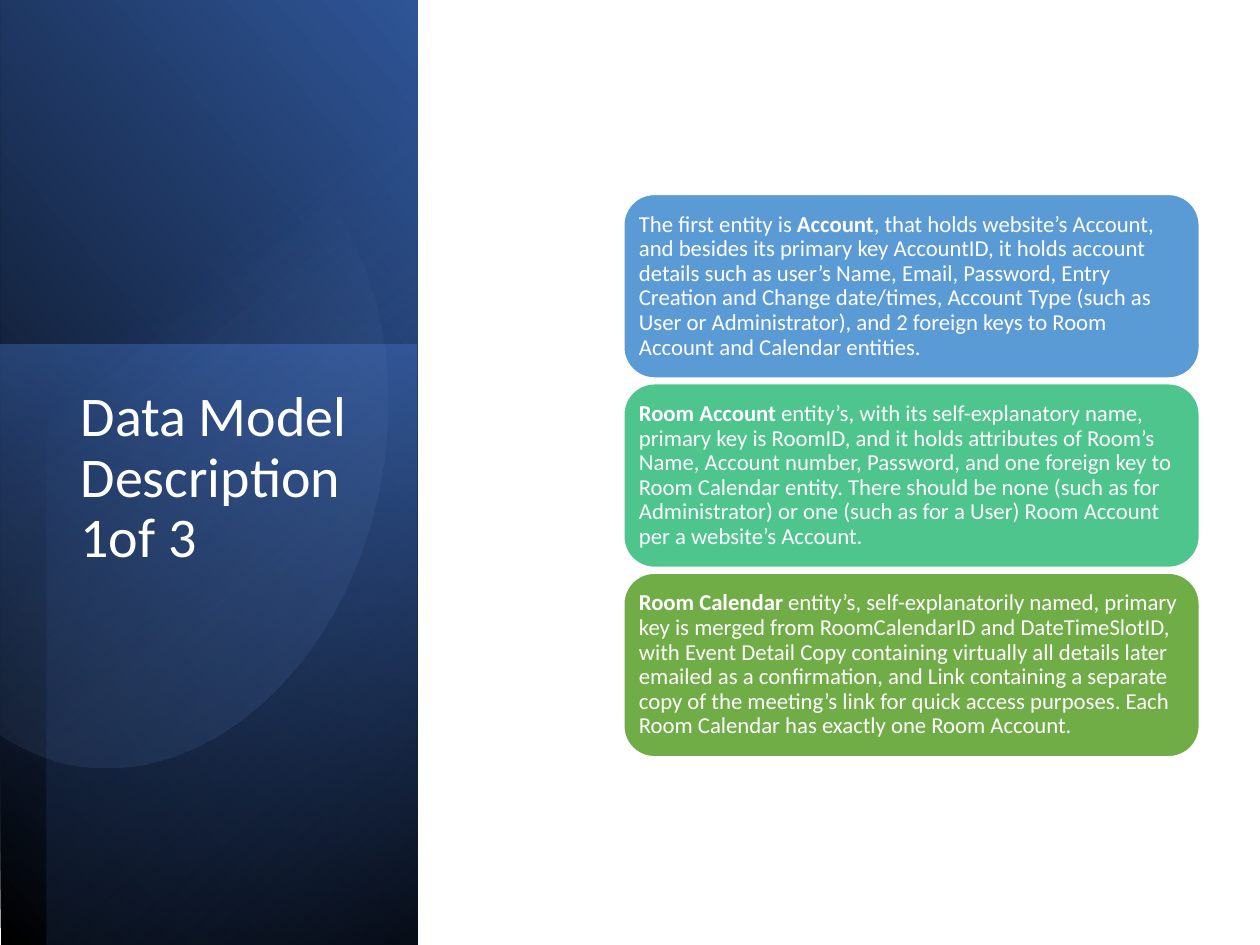
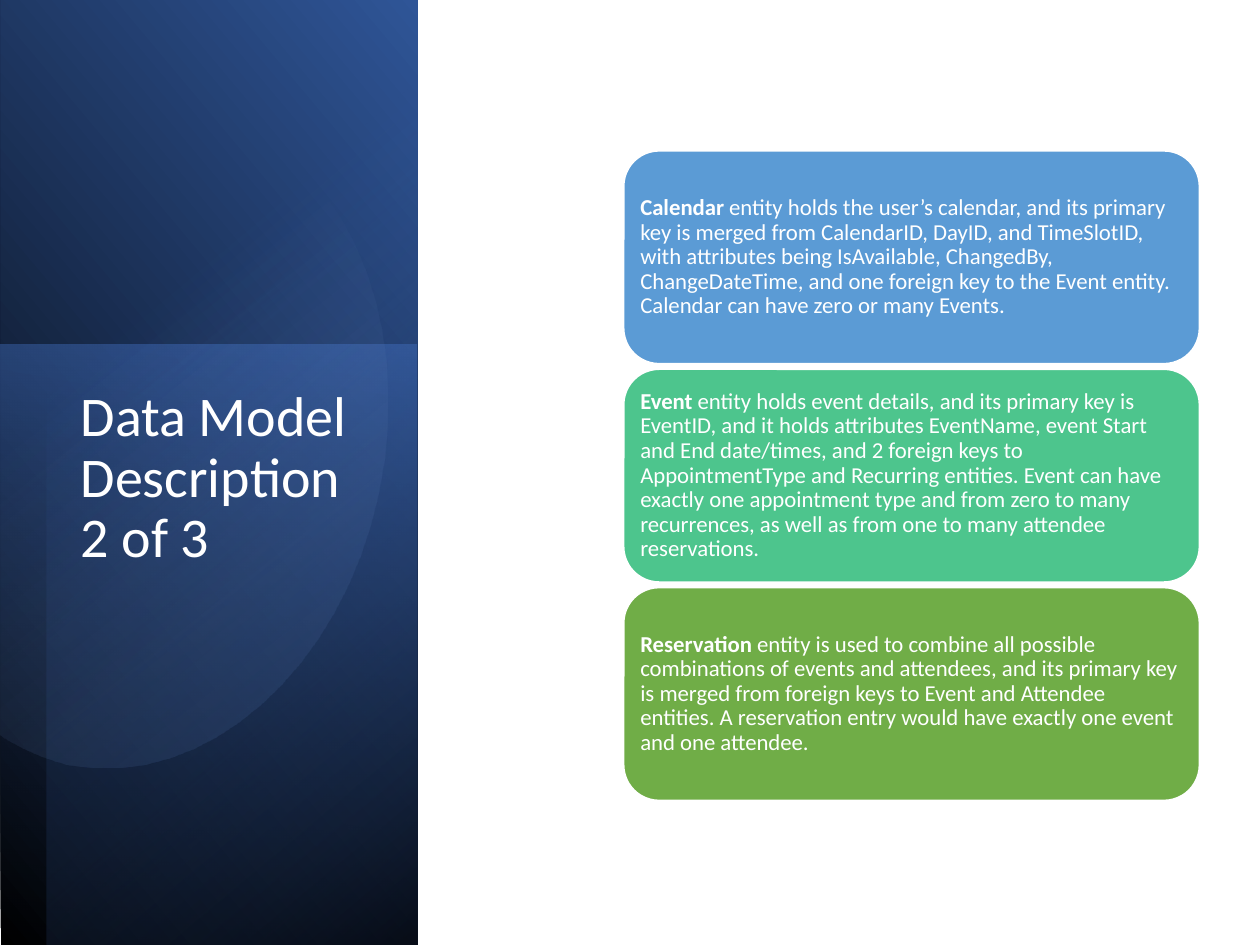
from dataclasses import dataclass
from math import cos, radians, sin

from lxml import etree
from pptx import Presentation, util as u
from pptx.dml.color import RGBColor
from pptx.enum import shapes, text
from pptx.oxml import ns

COLUMNS, ROWS = 100, 75
TITLE_BOX = (5.4, 30.3, 23.6, 33.6)
CARD_LEFT, CARD_WIDTH, CARD_GAP, CARDS_MIDDLE = 49.5, 45.7, 0.43, 37.75

PANEL_LAYERS = [
    dict(box=(-21, 21, 75.2, 33.1), rotation=90, flip=True, angle=310,
         stops=[(0, "000000", 100), (100, "2F5597", 100)]),
    dict(box=(-7.3, 34.6, 47.6, 33.1), rotation=270, flip=False, angle=190,
         stops=[(0, "4472C4", 50), (100, "203864", 0)]),
    dict(box=(-19.1, 22.8, 75, 29.4), rotation=270, flip=True, angle=220,
         stops=[(0, "000000", 59), (69, "4472C4", 0)]),
]

OVAL_START = (12, 8.9)
OVAL_CURVES = [
    [(13.3, 8.8), (14.7, 8.9), (16, 9.1)],
    [(26.7, 11.3), (32.9, 24.7), (30, 38.9)],
    [(27.1, 53.1), (16.1, 62.8), (5.4, 60.7)],
    [(3.4, 60.2), (1.6, 59.4), (-0.1, 58.3)],
]
OVAL_CORNERS = [(-1.2, 57.4), (0.9, 13.8), (2.5, 12.5)]
OVAL_CLOSING = [(5.4, 10.4), (8.7, 9.1), OVAL_START]
OVAL_CENTRE, OVAL_ROTATION = (13.6, 35.45), 101.6
OVAL_STOPS = [(39, "8FAADC", 0), (100, "2F5597", 26)]

SLIDES = [
    ("Data Model Description 1of 3", 14.6, [
        "The first entity is **Account**, that holds website’s Account, and besides its primary key "
        "AccountID, it holds account details such as user’s Name, Email, Password, Entry Creation and "
        "Change date/times, Account Type (such as User or Administrator), and 2 foreign keys to Room "
        "Account and Calendar entities.",
        "**Room Account **entity’s, with its self-explanatory name, primary key is RoomID, and it holds "
        "attributes of Room’s Name, Account number, Password, and one foreign key to Room Calendar "
        "entity. There should be none (such as for Administrator) or one (such as for a User) Room "
        "Account per a website’s Account.",
        "**Room Calendar **entity’s, self-explanatorily named, primary key is merged from "
        "RoomCalendarID and DateTimeSlotID, with Event Detail Copy containing virtually all details "
        "later emailed as a confirmation, and Link containing a separate copy of the meeting’s link for "
        "quick access purposes. Each Room Calendar has exactly one Room Account.",
    ]),
    ("Data Model Description 2 of 3", 16.9, [
        "**Calendar** entity holds the user’s calendar, and its primary key is merged from CalendarID, "
        "DayID, and TimeSlotID, with attributes being IsAvailable, ChangedBy, ChangeDateTime, and one "
        "foreign key to the Event entity. Calendar can have zero or many Events.",
        "**Event** entity holds event details, and its primary key is EventID, and it holds attributes "
        "EventName, event Start and End date/times, and 2 foreign keys to AppointmentType and Recurring "
        "entities. Event can have exactly one appointment type and from zero to many recurrences, as "
        "well as from one to many attendee reservations.",
        "**Reservation** entity is used to combine all possible combinations of events and attendees, "
        "and its primary key is merged from foreign keys to Event and Attendee entities. A reservation "
        "entry would have exactly one event and one attendee.",
    ]),
]


@dataclass(frozen=True)
class Theme:
    """Colours, font and type sizes of the deck."""
    font: str = "Calibri"
    light: str = "FFFFFF"
    cards: tuple = ("5B9BD5", "4DC58D", "70AD47")
    title_size: int = 32
    card_size: int = 13


def write(frame, content, *, font, size, color, anchor, inset=None):
    """Write text into a frame, with **marked** words in bold."""
    frame.word_wrap = True
    frame.auto_size = text.MSO_AUTO_SIZE.NONE
    frame.vertical_anchor = anchor
    if inset is not None:
        frame.margin_left = frame.margin_right = u.Inches(inset)
        frame.margin_top = frame.margin_bottom = u.Inches(inset)
    paragraph = frame.paragraphs[0]
    paragraph.alignment = text.PP_ALIGN.LEFT
    paragraph.line_spacing = 0.9
    for index, part in enumerate(content.split("**")):
        if part:
            run = paragraph.add_run()
            run.text = part
            run.font.name = font
            run.font.size = u.Pt(size)
            run.font.bold = index % 2 == 1
            run.font.color.rgb = RGBColor.from_string(color)


def curve_points(start, first, second, end, steps=16):
    """Return points along a cubic curve, without its start."""
    points = []
    for step in range(1, steps + 1):
        t = step / steps
        weights = ((1 - t) ** 3, 3 * t * (1 - t) ** 2, 3 * t * t * (1 - t), t ** 3)
        points.append(tuple(sum(weight * point[axis] for weight, point in
                                zip(weights, (start, first, second, end))) for axis in (0, 1)))
    return points


def rotated(point, centre, degrees):
    """Turn a point clockwise around a centre."""
    x, y = point[0] - centre[0], point[1] - centre[1]
    turn = radians(degrees)
    return (centre[0] + x * cos(turn) - y * sin(turn),
            centre[1] + x * sin(turn) + y * cos(turn))


class Deck:
    """Holds the theme and the slide being drawn."""

    def __init__(self, presentation, theme):
        """Start with no slide."""
        self.presentation = presentation
        self.theme = theme
        self.slide = None

    def place(self, *lengths):
        """Turn alternating columns and rows into slide lengths."""
        units = (self.presentation.slide_width / COLUMNS, self.presentation.slide_height / ROWS)
        return [u.Emu(round(length * units[index % 2])) for index, length in enumerate(lengths)]

    def new_slide(self):
        """Add a slide that has only a title."""
        self.slide = self.presentation.slides.add_slide(self.presentation.slide_layouts[5])

    def gradient(self, shape, stops, angle):
        """Give a shape a linear gradient and no outline."""
        shape.shadow.inherit = False
        shape.line.fill.background()
        shape.fill.gradient()
        fill = shape.element.spPr.find(ns.qn("a:gradFill"))
        for child in list(fill):
            fill.remove(child)
        stop_list = etree.SubElement(fill, ns.qn("a:gsLst"))
        for position, color, opacity in stops:
            stop = etree.SubElement(stop_list, ns.qn("a:gs"), pos=str(position * 1000))
            tint = etree.SubElement(stop, ns.qn("a:srgbClr"), val=color)
            if opacity < 100:
                etree.SubElement(tint, ns.qn("a:alpha"), val=str(opacity * 1000))
        etree.SubElement(fill, ns.qn("a:lin"), ang=str(angle * 60000), scaled="0")

    def panel_layer(self, box, rotation, flip, angle, stops):
        """Draw one rotated rectangle of the side panel."""
        layer = self.slide.shapes.add_shape(shapes.MSO_SHAPE.RECTANGLE, *self.place(*box))
        layer.rotation = rotation
        if flip:
            layer.element.spPr.find(ns.qn("a:xfrm")).set("flipH", "1")
        self.gradient(layer, stops, angle)

    def panel_oval(self):
        """Draw the cropped oval of the side panel."""
        outline = [OVAL_START]
        for curve in OVAL_CURVES:
            outline += curve_points(outline[-1], *curve)
        outline += OVAL_CORNERS
        outline += curve_points(outline[-1], *OVAL_CLOSING)
        points = [self.place(*rotated(point, OVAL_CENTRE, -OVAL_ROTATION)) for point in outline]
        builder = self.slide.shapes.build_freeform(*points[0])
        builder.add_line_segments(points[1:], close=True)
        oval = builder.convert_to_shape()
        oval.rotation = OVAL_ROTATION
        self.gradient(oval, OVAL_STOPS, 310)

    def title(self, content):
        """Fill the title and bring it in front of the panel."""
        title = self.slide.shapes.title
        title.left, title.top, title.width, title.height = self.place(*TITLE_BOX)
        write(title.text_frame, content, font=self.theme.font, size=self.theme.title_size,
              color=self.theme.light, anchor=text.MSO_ANCHOR.TOP)
        title.element.getparent().append(title.element)

    def card(self, top, height, color, content):
        """Draw one rounded card with its text."""
        card = self.slide.shapes.add_shape(shapes.MSO_SHAPE.ROUNDED_RECTANGLE,
                                           *self.place(CARD_LEFT, top, CARD_WIDTH, height))
        card.shadow.inherit = False
        card.fill.solid()
        card.fill.fore_color.rgb = RGBColor.from_string(color)
        card.line.color.rgb = RGBColor.from_string(self.theme.light)
        card.line.width = u.Pt(1)
        write(card.text_frame, content, font=self.theme.font, size=self.theme.card_size,
              color=self.theme.light, anchor=text.MSO_ANCHOR.MIDDLE, inset=0.05)

    def cards(self, height, contents):
        """Stack the cards around their common middle."""
        pitch = height + CARD_GAP
        top = CARDS_MIDDLE - (len(contents) * pitch - CARD_GAP) / 2
        for index, (color, content) in enumerate(zip(self.theme.cards, contents)):
            self.card(top + index * pitch, height, color, content)


def main():
    """Build and save the slides."""
    presentation = Presentation()
    presentation.slide_width, presentation.slide_height = u.Inches(10), u.Inches(7.5)
    deck = Deck(presentation, Theme())
    for title, card_height, contents in SLIDES:
        deck.new_slide()
        for layer in PANEL_LAYERS:
            deck.panel_layer(**layer)
        deck.panel_oval()
        deck.title(title)
        deck.cards(card_height, contents)
    presentation.save("out.pptx")


if __name__ == "__main__":
    main()
